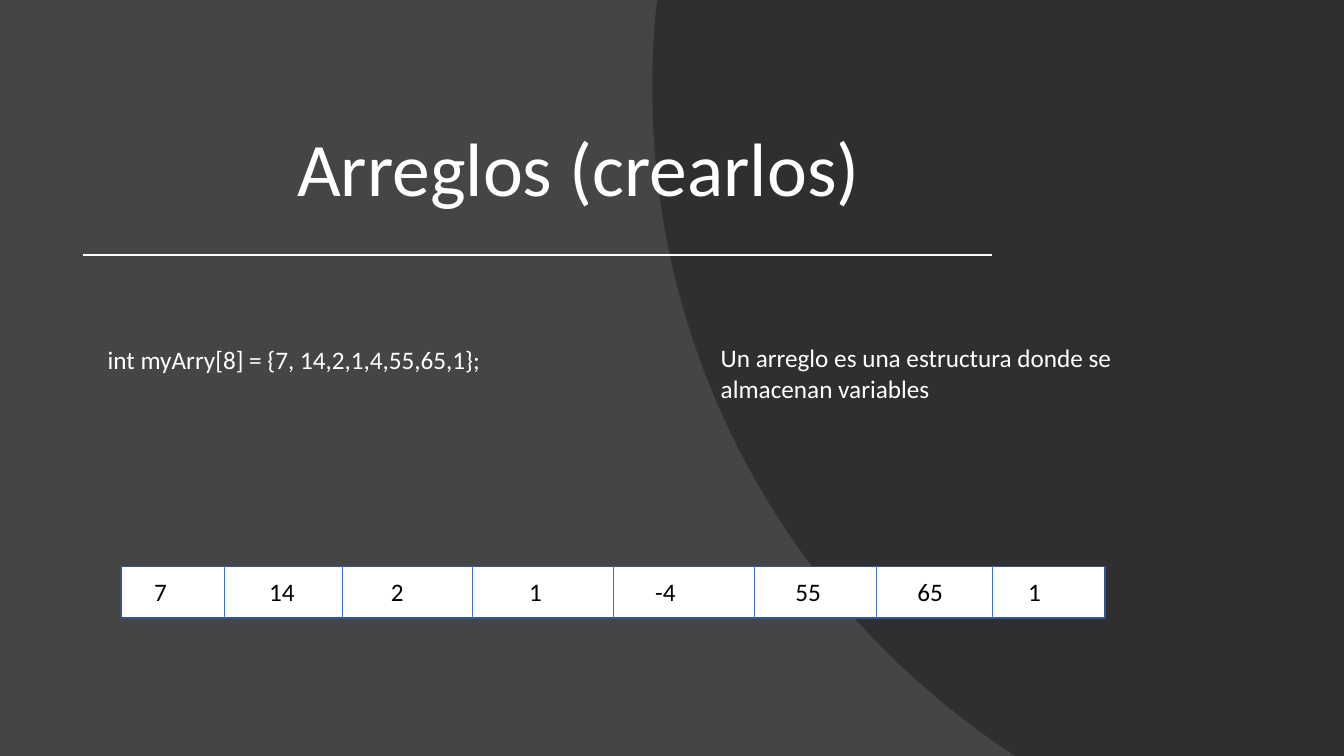
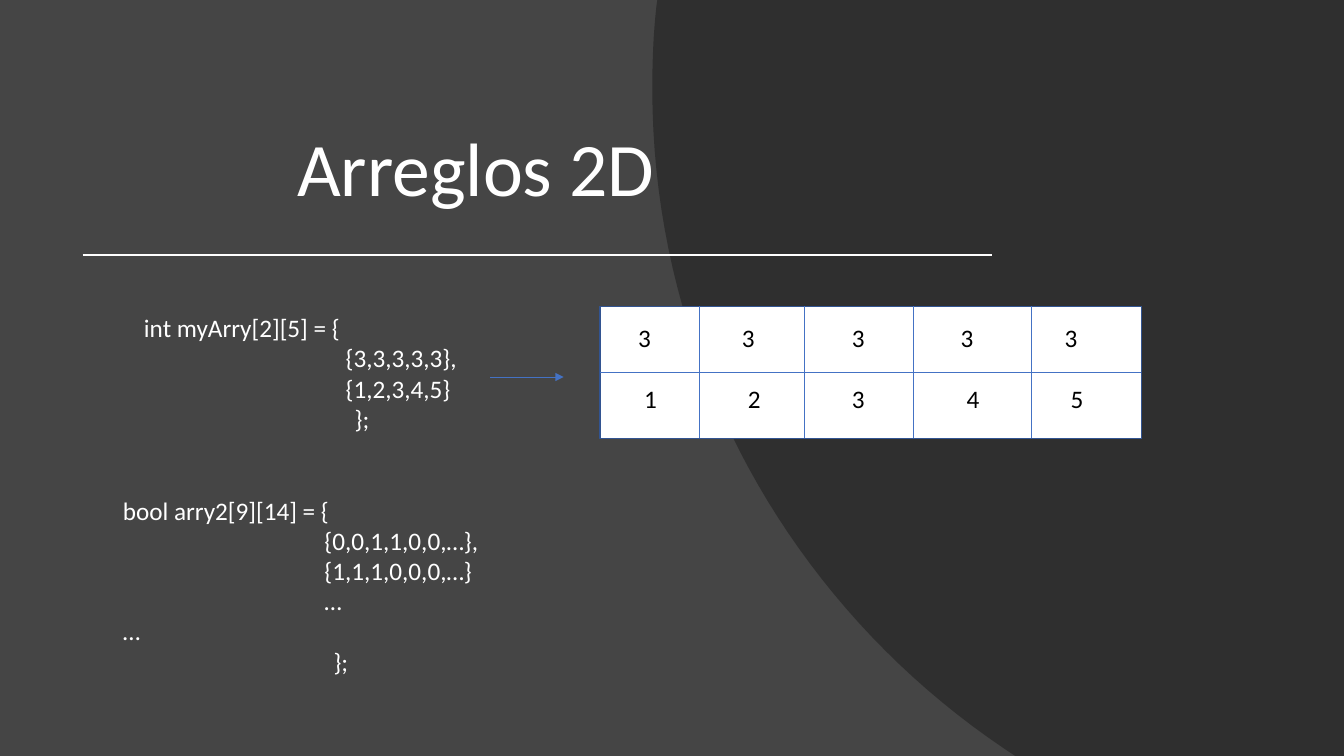
from lxml import etree
from pptx import Presentation
from pptx.dml.color import RGBColor
from pptx.enum import shapes, text
from pptx.oxml.ns import qn
from pptx.util import Inches, Pt

COLORS = {
    "back": "454545", "curve": "262626", "light": "FFFFFF",
    "dark": "000000", "edge": "325491", "rule": "4472C4",
}
FONT = "Calibri"
BODY = {"name": FONT, "size": Pt(18)}
TITLE = {"name": FONT, "size": Pt(54)}
WIDE, HIGH = 13.33, 7.5
INSET = 0.1


def rgb(name):
    return RGBColor.from_string(COLORS[name])


def style(font, look, color):
    for key, value in look.items():
        setattr(font, key, value)
    font.color.rgb = rgb(color)


def paint(shape, color):
    shape.shadow.inherit = False
    shape.fill.solid()
    shape.fill.fore_color.rgb = rgb(color)


def bezier(start, one, two, end, steps=40):
    """Return the points after start on a cubic curve."""
    points = []
    for step in range(1, steps + 1):
        t = step / steps
        parts = ((1 - t) ** 3, 3 * t * (1 - t) ** 2, 3 * t * t * (1 - t), t ** 3)
        points.append(tuple(
            sum(w * p[axis] for w, p in zip(parts, (start, one, two, end)))
            for axis in (0, 1)))
    return points


def add_back(slide):
    fill = slide.background.fill
    fill.solid()
    fill.fore_color.rgb = rgb("back")

    foot, side, top = (9.95, 7.42), (6.47, 0.88), (6.51, 0.07)
    points = [(WIDE, 0), (WIDE, HIGH), (10.07, HIGH), foot]
    points += bezier(foot, (7.85, 6), (6.47, 3.6), side)
    points += bezier(side, (6.47, 0.61), (6.48, 0.34), top, 8)
    path = slide.shapes.build_freeform(Inches(6.52), 0)
    path.add_line_segments([(Inches(x), Inches(y)) for x, y in points])
    curve = path.convert_to_shape()
    paint(curve, "curve")
    curve.line.fill.background()
    tint = curve.fill._xPr.find(qn("a:solidFill"))[0]
    etree.SubElement(tint, qn("a:alpha"), val="70000")


def add_line(slide, start, end, color, width, arrow=False):
    line = slide.shapes.add_connector(
        shapes.MSO_CONNECTOR.STRAIGHT, *map(Inches, start + end))
    line.line.color.rgb = rgb(color)
    line.line.width = Pt(width)
    if arrow:
        etree.SubElement(line.line._ln, qn("a:tailEnd"), type="triangle")
    etree.SubElement(line._element.spPr, qn("a:effectLst"))
    return line


def add_text(slide, box, lines, look=BODY, color="light"):
    """Write lines, each a pair of its words and its left indent."""
    frame = slide.shapes.add_textbox(*map(Inches, box)).text_frame
    frame.word_wrap = True
    for index, (words, indent) in enumerate(lines):
        para = frame.paragraphs[0] if index == 0 else frame.add_paragraph()
        run = para.add_run()
        run.text = words
        style(run.font, look, color)
        if indent:
            para._p.get_or_add_pPr().set("marL", str(Inches(indent)))
    return frame


def add_title(slide, words):
    frame = add_text(slide, (2.85, 1.3, 8.79, 0.86), [(words, 0)], TITLE)
    frame.vertical_anchor = text.MSO_ANCHOR.BOTTOM
    frame.paragraphs[0].line_spacing = 0.9
    add_line(slide, (0.82, 2.53), (9.84, 2.53), "light", 1.5)


def add_frame(slide, box, cuts):
    """Draw a box split by upright lines, cuts inches from its left."""
    left, top, _, high = box
    rect = slide.shapes.add_shape(
        shapes.MSO_SHAPE.RECTANGLE, *map(Inches, box))
    paint(rect, "light")
    rect.line.color.rgb = rgb("edge")
    rect.line.width = Pt(1)
    for cut in cuts:
        add_line(slide, (left + cut, top), (left + cut, top + high), "rule", 0.5)
    return rect


def add_values(slide, box, rows, gap=0):
    """Write rows of (value, offset) pairs, each value at a tab stop."""
    lines = [("".join(f"\t{value}" for value, _ in row), 0) for row in rows]
    frame = add_text(slide, box, lines, color="dark")
    for index, (para, row) in enumerate(zip(frame.paragraphs, rows)):
        if index:
            para.space_before = Pt(gap)
        stops = etree.SubElement(para._p.get_or_add_pPr(), qn("a:tabLst"))
        for _, offset in row:
            etree.SubElement(stops, qn("a:tab"), algn="l",
                             pos=str(Inches(offset - INSET)))


def add_slide(deck, title):
    slide = deck.slides.add_slide(deck.slide_layouts[6])
    add_back(slide)
    add_title(slide, title)
    return slide


def build_list(deck):
    slide = add_slide(deck, "Arreglos (crearlos)")
    add_text(slide, (0.97, 3.37, 4.26, 0.71),
             [("int myArry[8] = {7, 14,2,1,4,55,65,1};", 0)])
    add_text(slide, (7.05, 3.35, 4.72, 0.71),
             [("Un arreglo es una estructura donde se almacenan variables", 0)])
    left, wide = 1.2, 9.76
    add_frame(slide, (left, 5.62, wide, 0.51),
              (1.03, 2.2, 3.49, 4.88, 6.28, 7.49, 8.64))
    values = (7, 14, 2, 1, -4, 55, 65, 1)
    offsets = (0.33, 1.47, 2.68, 4.05, 5.3, 6.69, 7.9, 9)
    add_values(slide, (left, 5.67, wide, 0.4), [list(zip(values, offsets))])


def build_matrix(deck):
    slide = add_slide(deck, "Arreglos 2D")
    tab, close = 2, 2.09
    add_text(slide, (1.33, 3.05, 4.26, 1.31), [
        ("int myArry[2][5] = {", 0), ("{3,3,3,3,3},", tab),
        ("{1,2,3,4,5}", tab), ("};", close)])

    left, top, wide, high = 5.95, 3.04, 5.37, 1.31
    rect = add_frame(slide, (left, top, wide, high), (0.99, 2.03, 3.11, 4.28))
    middle = top + high / 2
    split = add_line(slide, (left, middle), (left + wide, middle), "rule", 0.5)
    split.begin_connect(rect, 1)
    split.end_connect(rect, 3)

    add_text(slide, (1.12, 4.86, 4.26, 1.92), [
        ("bool arry2[9][14] = {", 0), ("{0,0,1,1,0,0,…},", tab),
        ("{1,1,1,0,0,0,…}", tab), ("…", tab), ("…", 0), ("};", close)])
    rows = [
        [(3, 0.38), (3, 1.41), (3, 2.5), (3, 3.58), (3, 4.61)],
        [(1, 0.44), (2, 1.47), (3, 2.5), (4, 3.64), (5, 4.67)],
    ]
    add_values(slide, (left, 3.15, wide, 1.01), rows, gap=22)
    add_line(slide, (4.86, 3.74), (5.59, 3.74), "rule", 0.5, arrow=True)


def main():
    deck = Presentation()
    deck.slide_width, deck.slide_height = Inches(WIDE), Inches(HIGH)
    build_list(deck)
    build_matrix(deck)
    deck.save("out.pptx")


if __name__ == "__main__":
    main()
